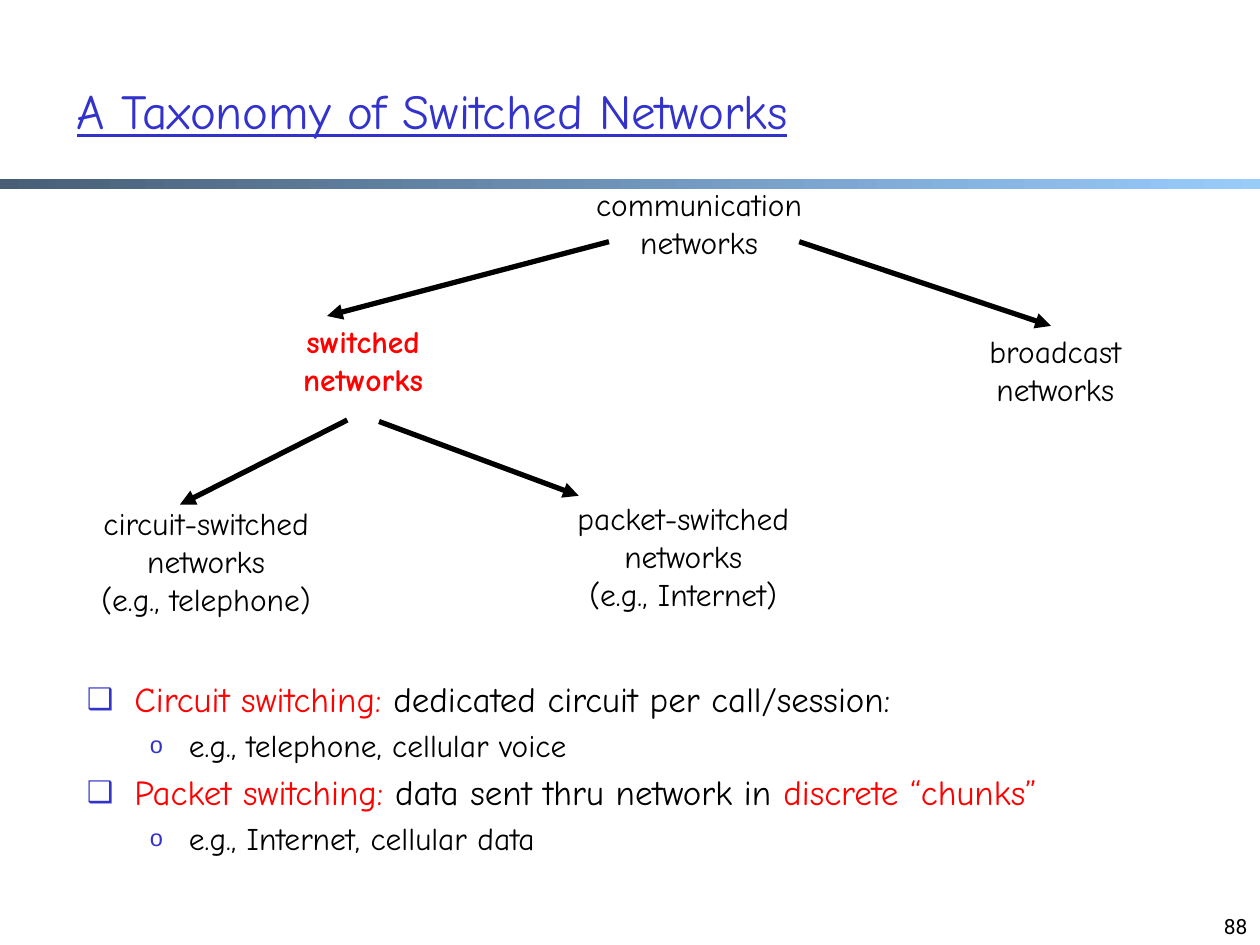
from dataclasses import dataclass

from lxml import etree
from pptx import Presentation
from pptx.dml.color import RGBColor
from pptx.enum.shapes import MSO_CONNECTOR, MSO_SHAPE
from pptx.enum.text import MSO_ANCHOR, MSO_AUTO_SIZE, PP_ALIGN
from pptx.oxml.ns import qn
from pptx.util import Cm, Pt

STRAIGHT = MSO_CONNECTOR.STRAIGHT
RECTANGLE = MSO_SHAPE.RECTANGLE
TOP, BOTTOM = MSO_ANCHOR.TOP, MSO_ANCHOR.BOTTOM
NO_AUTOFIT = MSO_AUTO_SIZE.NONE
LEFT, CENTER, RIGHT = PP_ALIGN.LEFT, PP_ALIGN.CENTER, PP_ALIGN.RIGHT


@dataclass(frozen=True)
class Theme:
    font: str = "Comic Neue"
    number_font: str = "Roboto"
    title_size: int = 28
    body_size: int = 20
    label_size: int = 18
    number_size: int = 12
    line_width: int = 3
    text: str = "000000"
    accent: str = "3333CC"
    highlight: str = "FF0000"
    bar_start: str = "475E76"
    bar_end: str = "99CCFF"


@dataclass(frozen=True)
class Box:
    """A region of the slide, in centimetres."""
    left: float
    top: float
    width: float
    height: float

    def lengths(self):
        return Cm(self.left), Cm(self.top), Cm(self.width), Cm(self.height)


@dataclass(frozen=True)
class Bullet:
    character: str
    margin: float
    hanging: float
    percent: int
    size: int


THEME = Theme()
BULLETS = [
    Bullet("❑", 0.96, 0.96, 85, THEME.body_size),
    Bullet("o", 2.06, 0.79, 75, THEME.label_size),
]

SLIDE_WIDTH, SLIDE_HEIGHT = 25.43, 19.08
TITLE_BOX = Box(1.3, 1.5, 21.62, 1.68)
BAR_BOX = Box(0, 3.61, SLIDE_WIDTH, 0.2)
TREE_BOX = Box(1.3, 3.61, 22.86, 9)
LIST_BOX = Box(1.5, 13.56, 22.86, 4.24)
NUMBER_BOX = Box(19.51, 17.81, 5.92, 1.27)

# Tree labels: text, left and top within the tree, highlighted
NODE_WIDTH, LINE_HEIGHT = 5.72, 0.76
NODES = [
    ("communication networks", 9.95, 0, False),
    ("switched\nnetworks", 3.17, 2.77, True),
    ("broadcast\nnetworks", 17.14, 2.97, False),
    ("circuit-switched\nnetworks\n(e.g., telephone)", 0, 6.45, False),
    ("packet-switched\nnetworks\n(e.g., Internet)", 9.63, 6.35, False),
]
# Tree arrows: start and end within the tree
ARROWS = [
    ((10.99, 1.27), (5.3, 2.77)),
    ((14.83, 1.27), (19.91, 2.97)),
    ((5.71, 4.87), (2.33, 6.58)),
    ((6.35, 4.9), (10.38, 6.4)),
]
# List: level, then runs of text and colour
ITEMS = [
    (0, [("Circuit switching:", THEME.highlight),
         (" dedicated circuit per call/session:", THEME.text)]),
    (1, [("e.g., telephone, cellular voice", THEME.text)]),
    (0, [("Packet switching:", THEME.highlight),
         (" data sent thru network in ", THEME.text),
         ("discrete “chunks”", THEME.highlight)]),
    (1, [("e.g., Internet, cellular data", THEME.text)]),
]


def color(value):
    return RGBColor.from_string(value)


def place(shape, box):
    shape.left, shape.top, shape.width, shape.height = box.lengths()


def prepare_frame(shape, anchor=TOP):
    frame = shape.text_frame
    frame.word_wrap = True
    frame.auto_size = NO_AUTOFIT
    frame.vertical_anchor = anchor
    return frame


def write(paragraph, text, size, text_color, alignment, name=THEME.font):
    paragraph.text = text
    paragraph.alignment = alignment
    paragraph.font.name = name
    paragraph.font.size = Pt(size)
    paragraph.font.color.rgb = color(text_color)


def add_bullet(paragraph, bullet):
    properties = paragraph._p.get_or_add_pPr()
    properties.set("marL", str(Cm(bullet.margin)))
    properties.set("indent", str(-Cm(bullet.hanging)))
    bullet_color = etree.SubElement(properties, qn("a:buClr"))
    etree.SubElement(bullet_color, qn("a:srgbClr"), val=THEME.accent)
    etree.SubElement(properties, qn("a:buSzPct"), val=str(bullet.percent * 1000))
    etree.SubElement(properties, qn("a:buChar"), char=bullet.character)


def add_arrow(slide, start, end):
    points = [Cm(value) for value in (*start, *end)]
    connector = slide.shapes.add_connector(STRAIGHT, *points)
    connector.line.color.rgb = color(THEME.text)
    connector.line.width = Pt(THEME.line_width)
    etree.SubElement(connector.line._get_or_add_ln(), qn("a:tailEnd"), type="triangle")
    etree.SubElement(connector._element.spPr, qn("a:effectLst"))


def build_title(slide, box):
    title = slide.shapes.title
    place(title, box)
    paragraph = prepare_frame(title).paragraphs[0]
    write(paragraph, "A Taxonomy of Switched Networks", THEME.title_size,
          THEME.accent, LEFT)
    paragraph.font.underline = True


def build_bar(slide, box):
    bar = slide.shapes.add_shape(RECTANGLE, *box.lengths())
    bar.shadow.inherit = False
    bar.line.fill.background()
    bar.fill.gradient()
    bar.fill.gradient_angle = 0
    for stop, value in zip(bar.fill.gradient_stops, (THEME.bar_start, THEME.bar_end)):
        stop.color.rgb = color(value)


def build_tree(slide, box):
    # Labels
    for text, left, top, highlighted in NODES:
        lines = max(2, text.count("\n") + 1)
        node = Box(box.left + left, box.top + top, NODE_WIDTH,
                   lines * LINE_HEIGHT + 0.26)
        label = slide.shapes.add_textbox(*node.lengths())
        paragraph = prepare_frame(label).paragraphs[0]
        write(paragraph, text, THEME.label_size,
              THEME.highlight if highlighted else THEME.text, CENTER)
        paragraph.font.bold = highlighted
    # Arrows
    for ends in ARROWS:
        add_arrow(slide, *((box.left + x, box.top + y) for x, y in ends))


def build_list(slide, box):
    body = slide.placeholders[1]
    place(body, box)
    frame = prepare_frame(body)
    for index, (level, runs) in enumerate(ITEMS):
        paragraph = frame.add_paragraph() if index else frame.paragraphs[0]
        bullet = BULLETS[level]
        paragraph.level = level
        add_bullet(paragraph, bullet)
        paragraph.space_before = Pt(0.2 * bullet.size if index else 0)
        paragraph.font.name = THEME.font
        paragraph.font.size = Pt(bullet.size)
        for text, run_color in runs:
            run = paragraph.add_run()
            run.text = text
            run.font.color.rgb = color(run_color)


def build_number(slide, box):
    number = slide.shapes.add_textbox(*box.lengths())
    paragraph = prepare_frame(number, BOTTOM).paragraphs[0]
    write(paragraph, "88", THEME.number_size, THEME.text, RIGHT, THEME.number_font)


def main():
    presentation = Presentation()
    presentation.slide_width = Cm(SLIDE_WIDTH)
    presentation.slide_height = Cm(SLIDE_HEIGHT)
    slide = presentation.slides.add_slide(presentation.slide_layouts[1])
    build_bar(slide, BAR_BOX)
    build_title(slide, TITLE_BOX)
    build_tree(slide, TREE_BOX)
    build_list(slide, LIST_BOX)
    build_number(slide, NUMBER_BOX)
    presentation.save("out.pptx")


if __name__ == "__main__":
    main()
